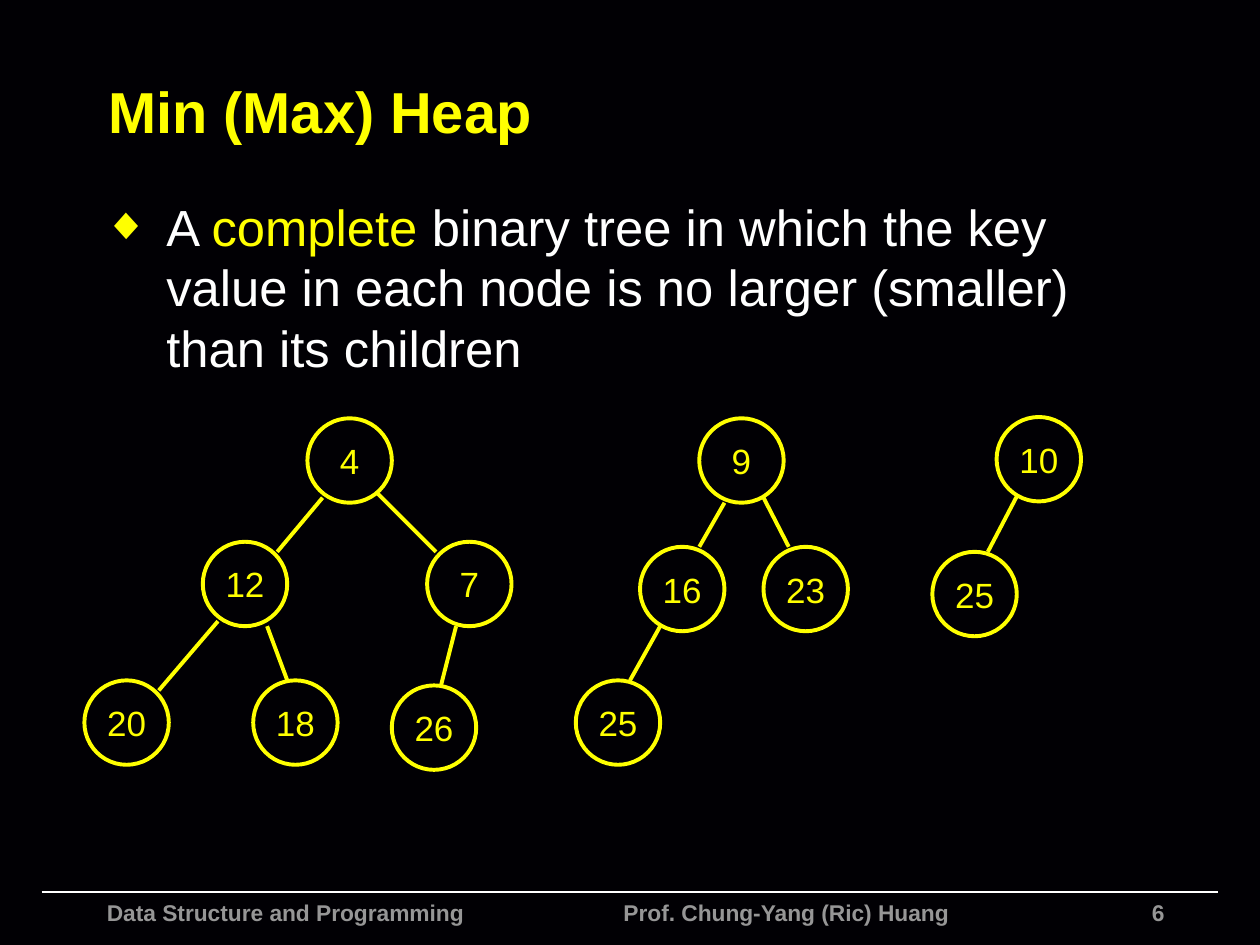
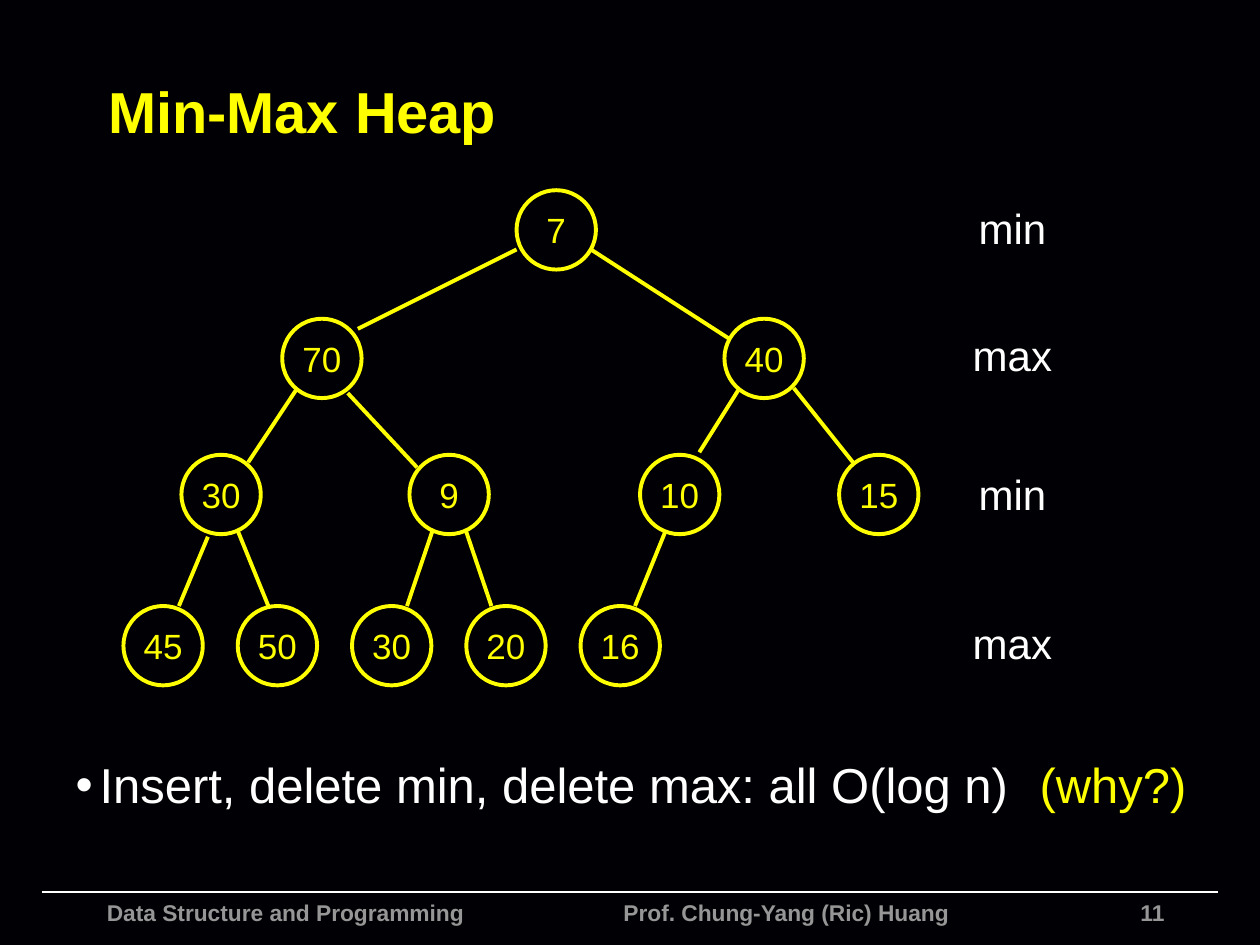
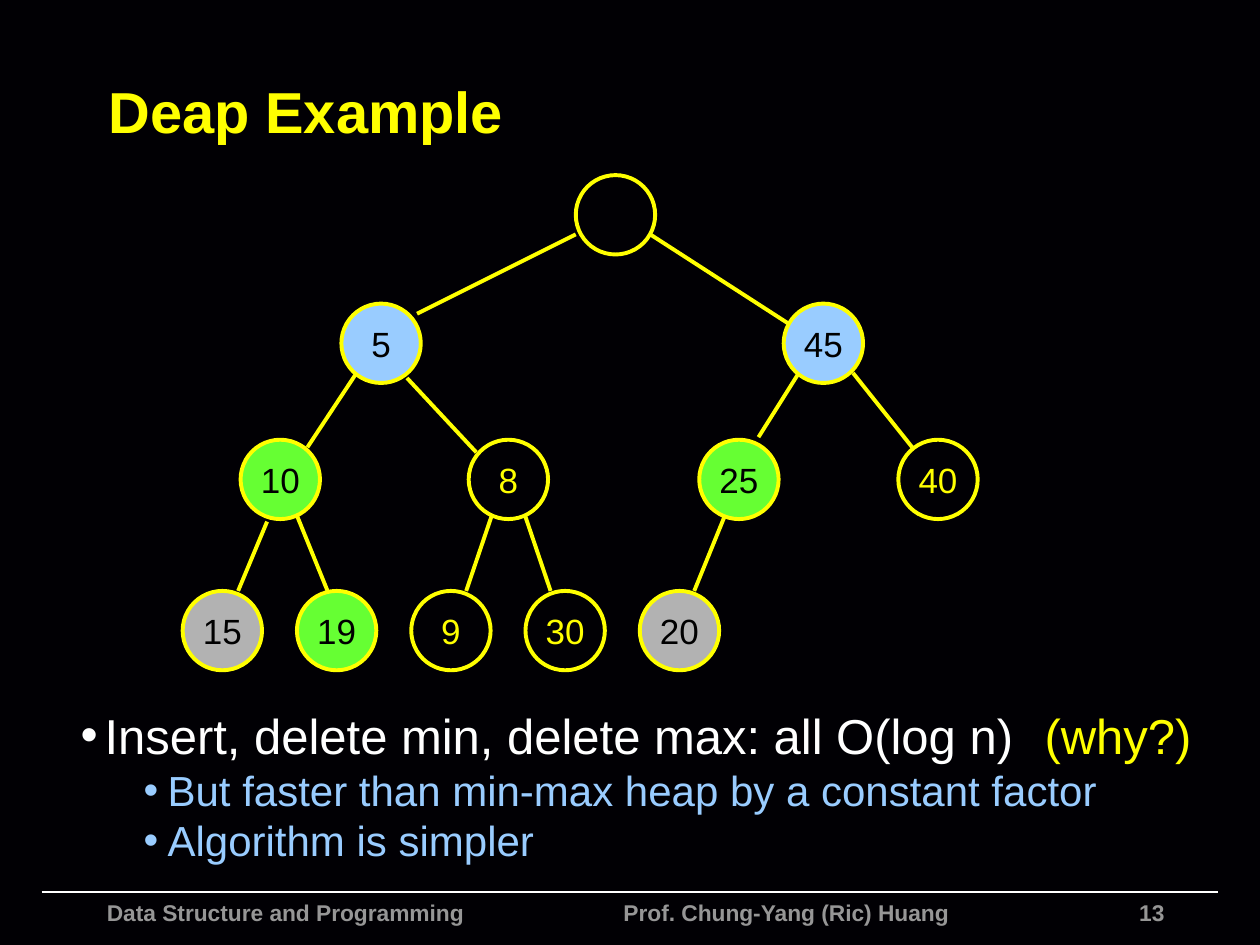
from lxml.etree import SubElement
from pptx import Presentation
from pptx.dml.color import RGBColor
from pptx.enum.shapes import MSO_CONNECTOR, MSO_SHAPE
from pptx.enum.text import MSO_ANCHOR, MSO_AUTO_SIZE, PP_ALIGN
from pptx.oxml.ns import qn
from pptx.util import Inches, Pt

COLORS = {
    "background": "010004",
    "accent": "FFFF00",
    "text": "FFFFFF",
    "footer": "969696",
    "blue": "99CCFF",
    "green": "66FF33",
    "gray": "B2B2B2",
    "dark": "000000",
}
FONT = "Arial"
WIDE_INSETS = (0.1, 0.05)
TIGHT_INSETS = (0.05, 0.05)
FOOTER_FONT = {"size": Pt(13), "bold": True}

DEFINITION = {
    "runs": [("A ", "text"), ("complete", "accent"),
             (" binary tree in which the key value in each node is no larger (smaller) than its children", "text")],
    "size": 29, "left": 0.5, "hanging": 0.5, "bullet": "◆", "bullet_percent": 90,
}
COMPLEXITY = {
    "runs": [("Insert, delete min, delete max: all O(log n)", "text"), ("\t(why?)", "accent")],
    "size": 28, "left": 0.19, "hanging": 0.19, "bullet": "•", "tab": 7.65, "before": 0,
}
REMARKS = [
    {"runs": [(remark, "blue")], "size": 24, "level": 1, "left": 0.69,
     "hanging": 0.19, "bullet": "•", "before": 0}
    for remark in ("But faster than min-max heap by a constant factor", "Algorithm is simpler")
]

SMALL_HEAPS = {
    "nodes": [
        (2.44, 3.32, "4"), (1.61, 4.3, "12"), (3.39, 4.3, "7"),
        (0.67, 5.4, "20"), (2.01, 5.4, "18"), (3.11, 5.44, "26"),
        (5.55, 3.32, "9"), (5.08, 4.34, "16"), (6.06, 4.34, "23"), (4.57, 5.4, "25"),
        (7.91, 3.31, "10"), (7.4, 4.38, "25"),
    ],
    "edges": [
        (2.56, 3.95, 2.2, 4.38), (1.73, 4.93, 1.26, 5.48), (2.99, 3.91, 3.46, 4.38),
        (2.12, 4.97, 2.28, 5.4), (3.62, 4.97, 3.5, 5.44),
        (5.75, 3.99, 5.55, 4.34), (5.24, 4.97, 5, 5.4), (6.06, 3.95, 6.26, 4.34),
        (8.07, 3.94, 7.84, 4.38),
    ],
}
TREE_LEVELS = [
    (1.51, [4.1]),
    (2.53, [2.24, 5.75]),
    (3.61, [1.44, 3.25, 5.08, 6.66]),
    (4.81, [0.98 + 0.907 * column for column in range(5)]),
]
TREE_PLACES = [(left, top) for top, lefts in TREE_LEVELS for left in lefts]
TREE_EDGES = [
    (4.1, 1.98, 2.84, 2.61), (4.69, 1.98, 5.79, 2.69),
    (2.36, 3.08, 1.97, 3.67), (2.76, 3.12, 3.31, 3.71),
    (5.87, 3.08, 5.55, 3.59), (6.3, 3.08, 6.77, 3.67),
    (1.65, 4.26, 1.42, 4.81), (1.89, 4.22, 2.13, 4.81),
    (3.43, 4.22, 3.23, 4.81), (3.7, 4.22, 3.9, 4.81),
    (5.28, 4.22, 5.04, 4.81),
]
MIN_MAX_KEYS = "7 70 40 30 9 10 15 45 50 30 20 16".split()
DEAP_KEYS = ["", *"5 45 10 8 25 40 15 19 9 30 20".split()]
DEAP_FILLS = {1: "blue", 2: "blue", 3: "green", 5: "green", 7: "gray", 8: "green", 11: "gray"}
LEVEL_LABELS = [(1.56, "min"), (2.57, "max"), (3.67, "min"), (4.85, "max")]


def color(name):
    return RGBColor.from_string(COLORS[name])


def apply_format(target, values):
    for name, value in values.items():
        setattr(target, name, value)


class Deck:
    def __init__(self):
        self.presentation = Presentation()
        apply_format(self.presentation, {"slide_width": Inches(10), "slide_height": Inches(7.5)})
        fill = self.presentation.slide_master.background.fill
        fill.solid()
        fill.fore_color.rgb = color("background")
        self.slide = None

    def start_slide(self, title, number, has_body=True):
        self.slide = self.presentation.slides.add_slide(self.presentation.slide_layouts[1])
        self.line(0.33, 7.08, 9.67, 7.08, "text", 1)
        self.text((6.17, 7.08, 3.17, 0.18), str(number), "footer", FOOTER_FONT,
                  PP_ALIGN.RIGHT, WIDE_INSETS)
        footer = self.text((0.75, 7.08, 7.24, 0.42),
                           "Data Structure and Programming\tProf. Chung-Yang (Ric) Huang",
                           "footer", FOOTER_FONT, PP_ALIGN.LEFT, WIDE_INSETS)
        self.tab_stop(footer, 4.1)
        shape = self.slide.shapes.title
        self.place(shape, (0.76, 0.37, 8.84, 1.01))
        frame = self.frame(shape, WIDE_INSETS, MSO_ANCHOR.MIDDLE)
        self.fill_paragraph(frame.paragraphs[0], [(title, "accent")],
                            {"size": Pt(33), "bold": True}, PP_ALIGN.LEFT)

    def place(self, shape, box):
        apply_format(shape, dict(zip(("left", "top", "width", "height"), map(Inches, box))))

    def frame(self, shape, insets, anchor=MSO_ANCHOR.TOP, wrap=True):
        side, edge = map(Inches, insets)
        frame = shape.text_frame
        apply_format(frame, {
            "margin_left": side, "margin_right": side, "margin_top": edge, "margin_bottom": edge,
            "vertical_anchor": anchor, "word_wrap": wrap, "auto_size": MSO_AUTO_SIZE.NONE,
        })
        return frame

    def fill_paragraph(self, paragraph, runs, font, align):
        paragraph.alignment = align
        for text, color_name in runs:
            run = paragraph.add_run()
            run.text = text
            apply_format(run.font, {"name": FONT, **font})
            run.font.color.rgb = color(color_name)

    def text(self, box, text, color_name, font, align, insets):
        shape = self.slide.shapes.add_textbox(*map(Inches, box))
        paragraph = self.frame(shape, insets).paragraphs[0]
        self.fill_paragraph(paragraph, [(text, color_name)], font, align)
        return paragraph

    def tab_stop(self, paragraph, position):
        tabs = SubElement(paragraph._p.get_or_add_pPr(), qn("a:tabLst"))
        SubElement(tabs, qn("a:tab"), pos=str(Inches(position)), algn="l")

    def bullets(self, box, insets, items):
        shape = self.slide.placeholders[1]
        self.place(shape, box)
        frame = self.frame(shape, insets)
        for index, item in enumerate(items):
            paragraph = frame.add_paragraph() if index else frame.paragraphs[0]
            self.fill_paragraph(paragraph, item["runs"], {"size": Pt(item["size"])}, PP_ALIGN.LEFT)
            paragraph.level = item.get("level", 0)
            if "before" in item:
                paragraph.space_before = Pt(item["before"])
            properties = paragraph._p.get_or_add_pPr()
            properties.set("marL", str(Inches(item["left"])))
            properties.set("indent", str(-Inches(item["hanging"])))
            if "bullet_percent" in item:
                bullet_color = SubElement(properties, qn("a:buClr"))
                SubElement(bullet_color, qn("a:srgbClr"), val=COLORS["accent"])
                SubElement(properties, qn("a:buSzPct"), val=str(item["bullet_percent"] * 1000))
            SubElement(properties, qn("a:buFont"), typeface=FONT)
            SubElement(properties, qn("a:buChar"), char=item["bullet"])
            if "tab" in item:
                self.tab_stop(paragraph, item["tab"])

    def line(self, x1, y1, x2, y2, color_name="accent", width=2.25):
        connector = self.slide.shapes.add_connector(
            MSO_CONNECTOR.STRAIGHT, *map(Inches, (x1, y1, x2, y2)))
        connector.line.color.rgb = color(color_name)
        connector.line.width = Pt(width)
        SubElement(connector._element.spPr, qn("a:effectLst"))

    def node(self, left, top, key, size, fill_name=None):
        shape = self.slide.shapes.add_shape(MSO_SHAPE.OVAL, *map(Inches, (left, top, size, size)))
        shape.shadow.inherit = False
        shape.line.color.rgb = color("accent")
        shape.line.width = Pt(2.25)
        if fill_name:
            shape.fill.solid()
            shape.fill.fore_color.rgb = color(fill_name)
        else:
            shape.fill.background()
        if key:
            frame = self.frame(shape, TIGHT_INSETS, MSO_ANCHOR.MIDDLE, False)
            self.fill_paragraph(frame.paragraphs[0], [(key, "dark" if fill_name else "accent")],
                                {"size": Pt(20)}, PP_ALIGN.CENTER)

    def tree(self, keys, shift=(0, 0), fills=None):
        fills = fills or {}
        dx, dy = shift
        for index, ((left, top), key) in enumerate(zip(TREE_PLACES, keys)):
            self.node(left + dx, top + dy, key, 0.63, fills.get(index))
        for x1, y1, x2, y2 in TREE_EDGES:
            self.line(x1 + dx, y1 + dy, x2 + dx, y2 + dy)


def main():
    deck = Deck()

    deck.start_slide("Min (Max) Heap", 6)
    deck.bullets((0.72, 1.5, 8.5, 5.17), WIDE_INSETS, [DEFINITION])
    for left, top, key in SMALL_HEAPS["nodes"]:
        deck.node(left, top, key, 0.67)
    for edge in SMALL_HEAPS["edges"]:
        deck.line(*edge)

    deck.start_slide("Min-Max Heap", 11)
    deck.tree(MIN_MAX_KEYS)
    for top, label in LEVEL_LABELS:
        deck.text((7.67, top, 0.73, 0.5), label, "text", {"size": Pt(24)},
                  PP_ALIGN.CENTER, TIGHT_INSETS)
    deck.bullets((0.55, 5.94, 9.3, 0.57), TIGHT_INSETS, [COMPLEXITY])

    deck.start_slide("Deap Example", 13)
    deck.tree(DEAP_KEYS, (0.47, -0.12), DEAP_FILLS)
    deck.bullets((0.59, 5.55, 9.3, 1.37), TIGHT_INSETS, [COMPLEXITY, *REMARKS])

    deck.presentation.save("out.pptx")


if __name__ == "__main__":
    main()
